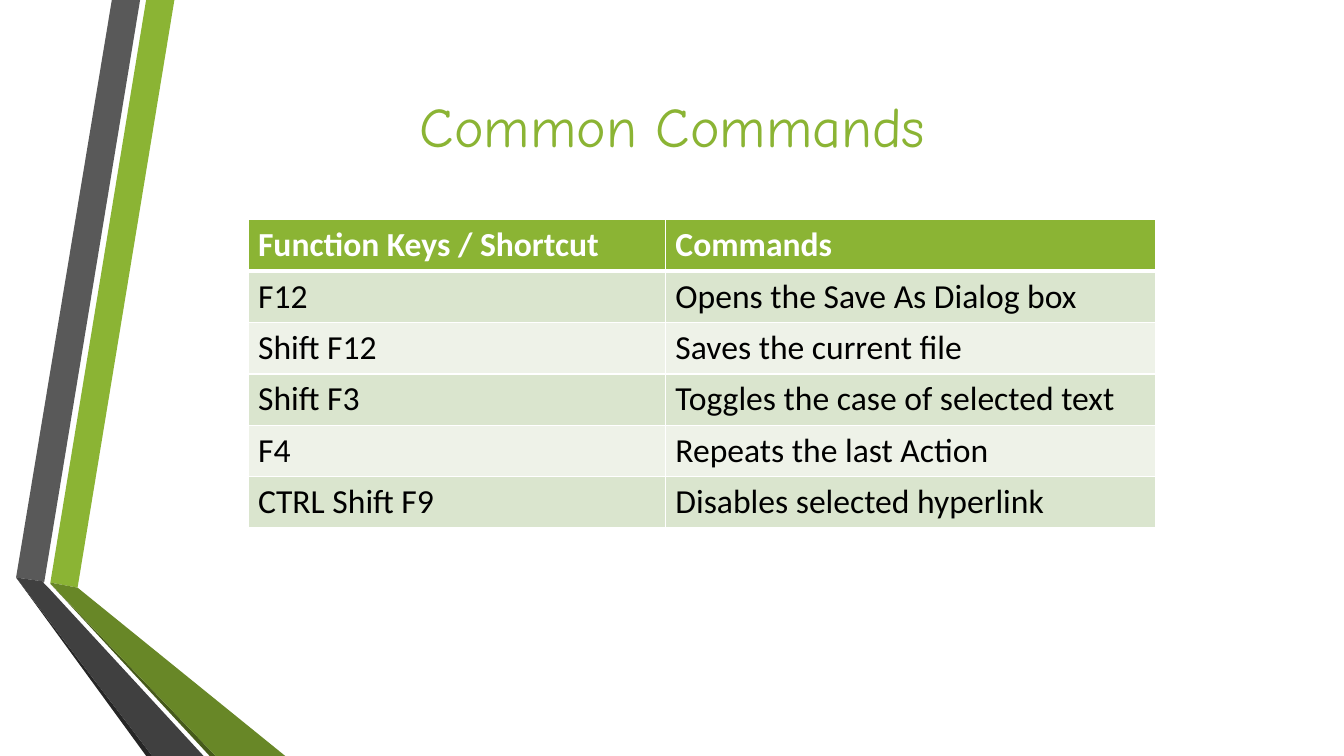
"""Build the Common Commands slide with its ribbon artwork and shortcut table."""
from dataclasses import dataclass

from lxml.etree import SubElement
from pptx import Presentation
from pptx.dml.color import RGBColor
from pptx.enum.text import MSO_ANCHOR, PP_ALIGN
from pptx.oxml.ns import qn
from pptx.util import Inches, Pt


@dataclass(frozen=True)
class Theme:
    """Colours, fonts and type sizes of the slide."""
    green: str = "8BB434"
    green_dark: str = "688727"
    green_deep: str = "465A1A"
    gray: str = "595959"
    gray_dark: str = "404040"
    gray_deep: str = "262626"
    band_odd: str = "DAE5CE"
    band_even: str = "EEF2E8"
    white: str = "FFFFFF"
    black: str = "000000"
    title_font: str = "Comic Neue"
    body_font: str = "Calibri"
    title_size: int = 40
    body_size: int = 24


THEME = Theme()

RIBBONS = [
    (THEME.green, [(0.5, 5.78), (0.77, 5.83), (1.73, 0), (1.45, 0)]),
    (THEME.gray, [(1.39, 0), (1.11, 0), (0.16, 5.73), (0.44, 5.77)]),
    (THEME.gray_deep, [(0.16, 5.73), (1.45, 7.5), (1.51, 7.5)]),
    (THEME.green_deep, [(0.5, 5.79), (2.08, 7.5), (2.14, 7.5)]),
    (THEME.green_dark, [(0.5, 5.78), (0.5, 5.79), (2.14, 7.5), (2.83, 7.5), (0.77, 5.83)]),
    (THEME.gray_dark, [(2.02, 7.5), (0.48, 5.83), (0.43, 5.78), (0.44, 5.77),
                       (0.16, 5.73), (1.51, 7.5)]),
]

COMMANDS = [
    ("Function Keys / Shortcut", "Commands"),
    ("F12", "Opens the Save As Dialog box"),
    ("Shift F12", "Saves the current file"),
    ("Shift F3", "Toggles the case of selected text"),
    ("F4", "Repeats the last Action"),
    ("CTRL Shift F9", "Disables selected hyperlink"),
]
COLUMN_WIDTHS = (4.14, 4.86)
ROW_HEIGHT = 0.51


def set_font(paragraph, name, size, color, bold=False):
    """Set the font of a whole paragraph."""
    font = paragraph.font
    font.name = name
    font.size = Pt(size)
    font.bold = bold
    font.color.rgb = RGBColor.from_string(color)


def add_ribbon(page, color, points):
    """Draw one filled polygon without an outline."""
    corners = [(Inches(x), Inches(y)) for x, y in points]
    builder = page.shapes.build_freeform(*corners[0])
    builder.add_line_segments(corners[1:], close=True)
    ribbon = builder.convert_to_shape()
    ribbon.shadow.inherit = False
    ribbon.fill.solid()
    ribbon.fill.fore_color.rgb = RGBColor.from_string(color)
    ribbon.line.fill.background()


def set_title(page, text):
    """Place and format the title placeholder."""
    title = page.shapes.title
    title.left, title.top = Inches(2.17), Inches(0.62)
    title.width, title.height = Inches(9), Inches(1.25)
    title.text_frame.text = text
    title.text_frame.vertical_anchor = MSO_ANCHOR.MIDDLE
    paragraph = title.text_frame.paragraphs[0]
    paragraph.alignment = PP_ALIGN.CENTER
    set_font(paragraph, THEME.title_font, THEME.title_size, THEME.green)


def set_borders(cell, top, bottom):
    """Give a cell white borders, with top and bottom widths in points."""
    properties = cell._tc.get_or_add_tcPr()
    for side, width in (("L", 1), ("R", 1), ("T", top), ("B", bottom)):
        line = SubElement(properties, qn(f"a:ln{side}"), w=str(Pt(width)))
        fill = SubElement(line, qn("a:solidFill"))
        SubElement(fill, qn("a:srgbClr"), val=THEME.white)


def format_cell(cell, text, row):
    """Fill in a cell and style it by its row."""
    header = row == 0
    band = THEME.band_odd if row % 2 else THEME.band_even
    set_borders(cell, top=3 if row == 1 else 1, bottom=3 if header else 1)
    cell.fill.solid()
    cell.fill.fore_color.rgb = RGBColor.from_string(THEME.green if header else band)
    cell.text = text
    set_font(cell.text_frame.paragraphs[0], THEME.body_font, THEME.body_size,
             THEME.white if header else THEME.black, bold=header)


def add_command_table(page):
    """Add the table of shortcuts and commands."""
    frame = page.shapes.add_table(
        len(COMMANDS), len(COLUMN_WIDTHS), Inches(2.46), Inches(2.18),
        Inches(sum(COLUMN_WIDTHS)), Inches(ROW_HEIGHT * len(COMMANDS)))
    table = frame.table
    for column, width in zip(table.columns, COLUMN_WIDTHS):
        column.width = Inches(width)
    for row, texts in enumerate(COMMANDS):
        for column, text in enumerate(texts):
            format_cell(table.cell(row, column), text, row)


def main():
    """Build and save the deck."""
    deck = Presentation()
    deck.slide_width, deck.slide_height = Inches(13.33), Inches(7.5)
    page = deck.slides.add_slide(deck.slide_layouts.get_by_name("Title Only"))
    for color, points in RIBBONS:
        add_ribbon(page, color, points)
    set_title(page, "Common Commands")
    add_command_table(page)
    deck.save("out.pptx")


if __name__ == "__main__":
    main()
